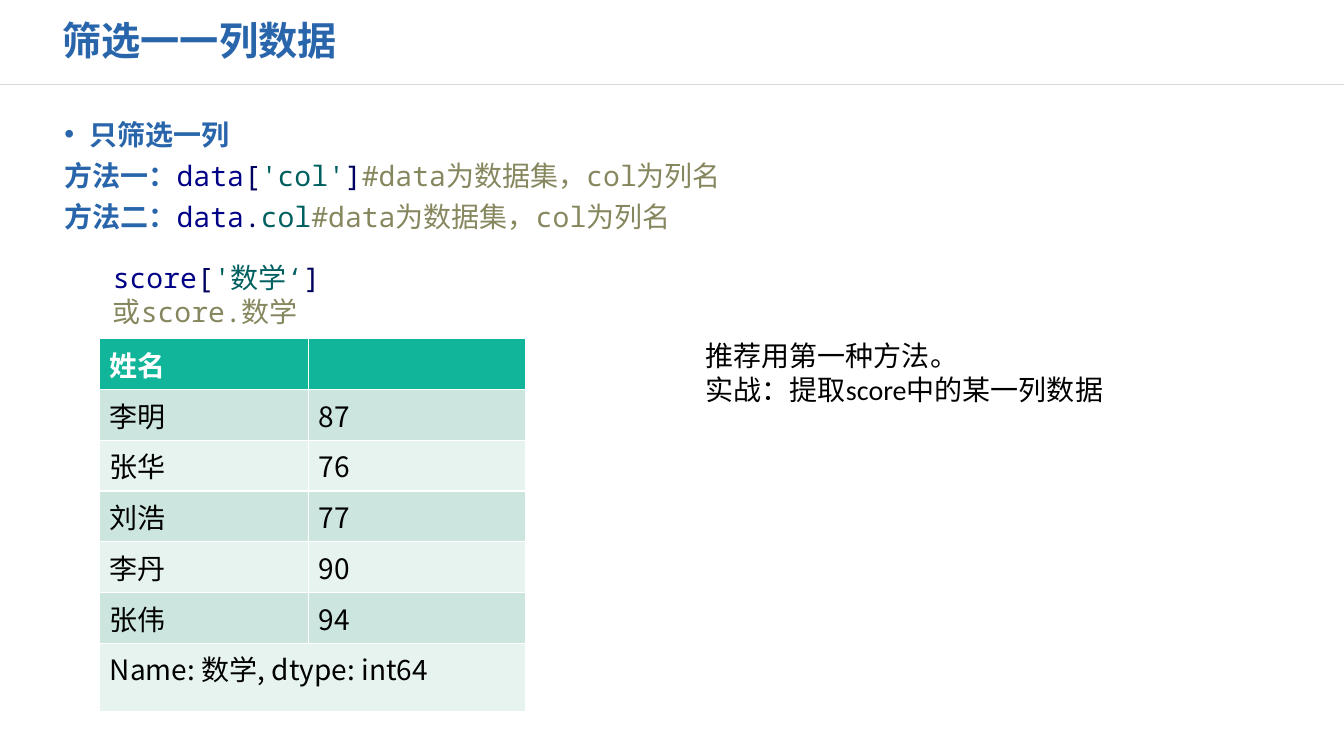
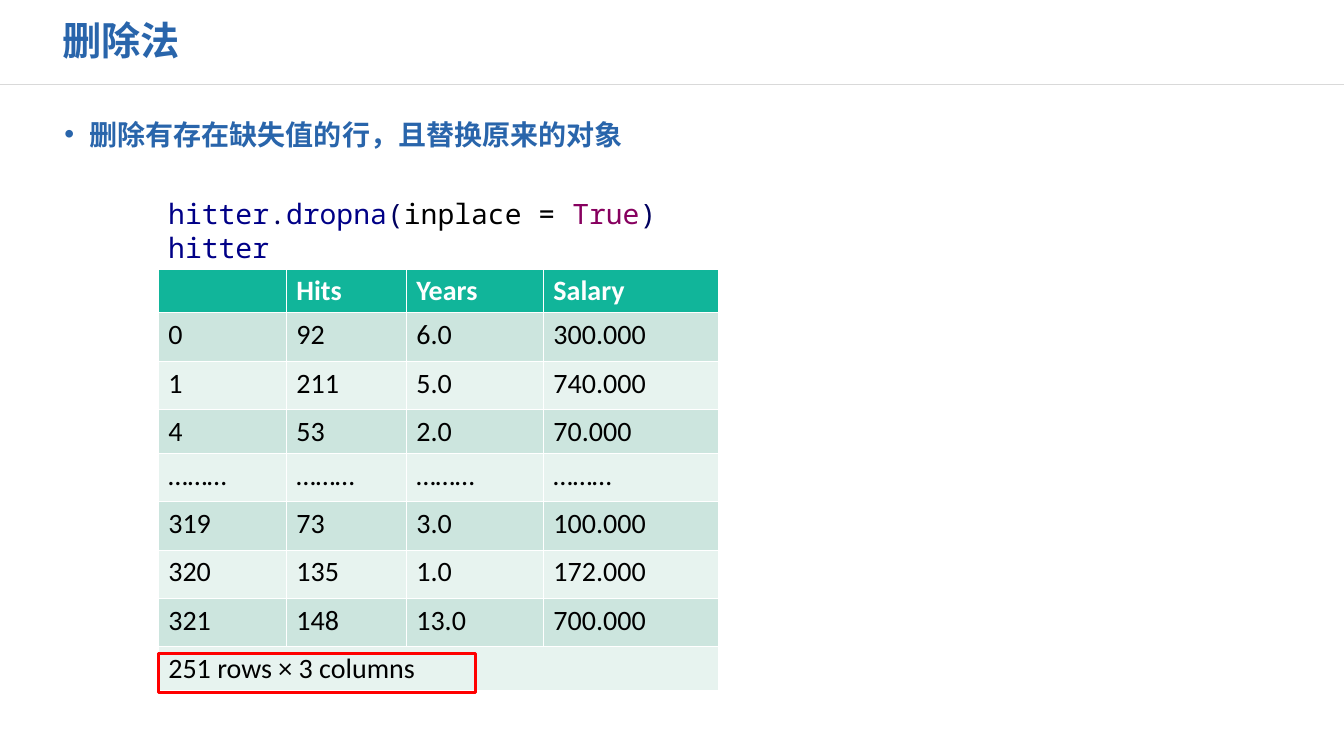
from lxml.etree import SubElement
from pptx import Presentation
from pptx.dml.color import RGBColor
from pptx.enum.shapes import MSO_CONNECTOR, MSO_SHAPE
from pptx.enum.text import MSO_ANCHOR as Anchor, MSO_AUTO_SIZE as AutoSize, PP_ALIGN as Align
from pptx.oxml.ns import qn
from pptx.util import Inches, Pt

# Colours
HEADING_BLUE = RGBColor(0x29, 0x65, 0xAB)
RULE_GREY = RGBColor(0xD9, 0xD9, 0xD9)
HEADER_GREEN = RGBColor(0x11, 0xB5, 0x9A)
BAND_DARK = RGBColor(0xCC, 0xE5, 0xDE)
BAND_LIGHT = RGBColor(0xE7, 0xF3, 0xEF)
WHITE = RGBColor(0xFF, 0xFF, 0xFF)
BLACK = RGBColor(0x00, 0x00, 0x00)
RED = RGBColor(0xFF, 0x00, 0x00)
CODE_NAME = RGBColor(0x00, 0x00, 0x87)
CODE_SIGN = RGBColor(0x00, 0x00, 0x5F)
CODE_STRING = RGBColor(0x00, 0x5F, 0x5F)
CODE_COMMENT = RGBColor(0x87, 0x87, 0x5F)
CODE_CONSTANT = RGBColor(0x87, 0x00, 0x5F)

# Fonts
CHINESE = "Noto Sans CJK SC"
MONO = "Noto Sans Mono"
LATIN = "Calibri"


class Deck:
    """Holds the shared style and the current slide."""

    def __init__(self):
        self.presentation = Presentation()
        self.presentation.slide_width = Inches(13.33)
        self.presentation.slide_height = Inches(7.5)
        self.slide = None

    def set_font(self, paragraph, name, color, size=20, bold=False):
        paragraph.font.name = name
        paragraph.font.size = Pt(size)
        paragraph.font.bold = bold
        paragraph.font.color.rgb = color
        properties = paragraph._p.pPr.find(qn("a:defRPr"))
        SubElement(properties, qn("a:ea")).set("typeface", name)

    def add_runs(self, paragraph, runs):
        for text, color in runs:
            run = paragraph.add_run()
            run.text = text
            run.font.color.rgb = color

    def add_slide(self, title, width):
        layout = self.presentation.slide_layouts[5]
        self.slide = self.presentation.slides.add_slide(layout)
        # Rule under the title
        rule = self.slide.shapes.add_connector(
            MSO_CONNECTOR.STRAIGHT, 0, Inches(0.84), Inches(13.33), Inches(0.84))
        rule.line.color.rgb = RULE_GREY
        rule.line.width = Pt(1)
        SubElement(rule._element.spPr, qn("a:effectLst"))
        # Title
        shape = self.slide.shapes.title
        shape.left, shape.top = Inches(0.52), Inches(0.13)
        shape.width, shape.height = Inches(width), Inches(0.58)
        frame = shape.text_frame
        frame.text = title
        frame.vertical_anchor = Anchor.MIDDLE
        frame.auto_size = AutoSize.NONE
        paragraph = frame.paragraphs[0]
        paragraph.alignment = Align.LEFT
        paragraph.line_spacing = 0.9
        self.set_font(paragraph, CHINESE, HEADING_BLUE, 28, True)

    def add_frame(self, left, top, width, height, auto_size=AutoSize.SHAPE_TO_FIT_TEXT):
        box = self.slide.shapes.add_textbox(
            Inches(left), Inches(top), Inches(width), Inches(height))
        box.text_frame.word_wrap = True
        box.text_frame.auto_size = auto_size
        return box.text_frame

    def add_lines(self, left, top, width, lines, font=MONO):
        frame = self.add_frame(left, top, width, 0.77)
        for index, runs in enumerate(lines):
            paragraph = frame.add_paragraph() if index else frame.paragraphs[0]
            self.set_font(paragraph, font, BLACK)
            self.add_runs(paragraph, runs)

    def add_body(self, bullet, height, methods=()):
        frame = self.add_frame(0.54, 1.15, 11.02, height, AutoSize.NONE)
        # Bulleted heading
        paragraph = frame.paragraphs[0]
        properties = paragraph._p.get_or_add_pPr()
        properties.set("marL", str(Inches(0.25)))
        properties.set("indent", str(-Inches(0.25)))
        bullet_color = SubElement(properties, qn("a:buClr"))
        SubElement(bullet_color, qn("a:srgbClr")).set("val", str(HEADING_BLUE))
        SubElement(properties, qn("a:buFont")).set("typeface", "Arial")
        SubElement(properties, qn("a:buChar")).set("char", "•")
        paragraph.line_spacing = 0.9
        self.set_font(paragraph, CHINESE, HEADING_BLUE, bold=True)
        paragraph.add_run().text = bullet
        # Labelled code lines
        for label, runs in methods:
            paragraph = frame.add_paragraph()
            paragraph.space_before = Pt(8)
            paragraph.line_spacing = 0.9
            self.set_font(paragraph, MONO, CODE_NAME)
            run = paragraph.add_run()
            run.text = label
            run.font.name = CHINESE
            run.font.bold = True
            run.font.color.rgb = HEADING_BLUE
            SubElement(run._r.rPr, qn("a:ea")).set("typeface", CHINESE)
            self.add_runs(paragraph, runs)

    def add_table(self, left, top, widths, heights, rows, font):
        """Draw a banded table whose last row is one merged note."""
        table = self.slide.shapes.add_table(
            len(rows), len(widths), Inches(left), Inches(top),
            Inches(sum(widths)), Inches(sum(heights))).table
        for column, width in zip(table.columns, widths):
            column.width = Inches(width)
        for row, height in zip(table.rows, heights):
            row.height = Inches(height)
        last = len(rows) - 1
        table.cell(last, 0).merge(table.cell(last, len(widths) - 1))
        for row_index, values in enumerate(rows):
            header = row_index == 0
            band = BAND_DARK if row_index % 2 else BAND_LIGHT
            for column_index in range(len(widths)):
                cell = table.cell(row_index, column_index)
                cell.fill.solid()
                cell.fill.fore_color.rgb = HEADER_GREEN if header else band
                if column_index < len(values) and values[column_index]:
                    cell.text = values[column_index]
                    self.set_font(cell.text_frame.paragraphs[0], font,
                                  WHITE if header else BLACK, bold=header)

    def add_highlight(self, left, top, width, height):
        shape = self.slide.shapes.add_shape(
            MSO_SHAPE.RECTANGLE, Inches(left), Inches(top), Inches(width), Inches(height))
        shape.shadow.inherit = False
        shape.fill.background()
        shape.line.color.rgb = RED
        shape.line.width = Pt(2)


def build_column_slide(deck):
    deck.add_slide("筛选一一列数据", 6.14)
    comment = ("#data为数据集，col为列名", CODE_COMMENT)
    deck.add_body("只筛选一列", 0.87, [
        ("方法一：", [("data", CODE_NAME), ("[", CODE_SIGN), ("'col'", CODE_STRING),
                  ("]", CODE_SIGN), comment]),
        ("方法二：", [("data", CODE_NAME), (".", CODE_SIGN), ("col", CODE_STRING), comment]),
    ])
    # Scores of one subject
    deck.add_table(0.99, 3.36, [2.07, 2.15], [0.44] + [0.43] * 5 + [0.68], [
        ["姓名", ""],
        ["李明", "87"],
        ["张华", "76"],
        ["刘浩", "77"],
        ["李丹", "90"],
        ["张伟", "94"],
        ["Name: 数学, dtype: int64"],
    ], CHINESE)
    deck.add_lines(1.02, 2.54, 4.22, [
        [("score", CODE_NAME), ("[", CODE_SIGN), ("'数学‘", CODE_STRING), ("]", CODE_SIGN)],
        [("或score.数学", CODE_COMMENT)],
    ])
    # Advice
    deck.add_lines(6.9, 3.31, 4.88, [
        [("推荐用第一种方法。", BLACK)],
        [("实战：提取score中的某一列数据", BLACK)],
    ], LATIN)


def build_deletion_slide(deck):
    deck.add_slide("删除法", 5.32)
    deck.add_body("删除有存在缺失值的行，且替换原来的对象", 5.35)
    deck.add_lines(1.57, 1.9, 6.67, [
        [("hitter", CODE_NAME), (".", CODE_SIGN), ("dropna", CODE_NAME), ("(", CODE_SIGN),
         ("inplace = ", BLACK), ("True", CODE_CONSTANT), (")", CODE_SIGN)],
        [("hitter", CODE_NAME)],
    ])
    # Remaining rows and their count
    heights = [0.43, 0.48, 0.48, 0.43] + [0.48] * 4 + [0.43]
    deck.add_table(1.57, 2.67, [1.27, 1.19, 1.36, 1.74], heights, [
        ["", "Hits", "Years", "Salary"],
        ["0", "92", "6.0", "300.000"],
        ["1", "211", "5.0", "740.000"],
        ["4", "53", "2.0", "70.000"],
        ["………"] * 4,
        ["319", "73", "3.0", "100.000"],
        ["320", "135", "1.0", "172.000"],
        ["321", "148", "13.0", "700.000"],
        ["251 rows × 3 columns"],
    ], LATIN)
    deck.add_highlight(1.57, 6.48, 3.15, 0.39)


def main():
    deck = Deck()
    build_column_slide(deck)
    build_deletion_slide(deck)
    deck.presentation.save("out.pptx")


if __name__ == "__main__":
    main()
